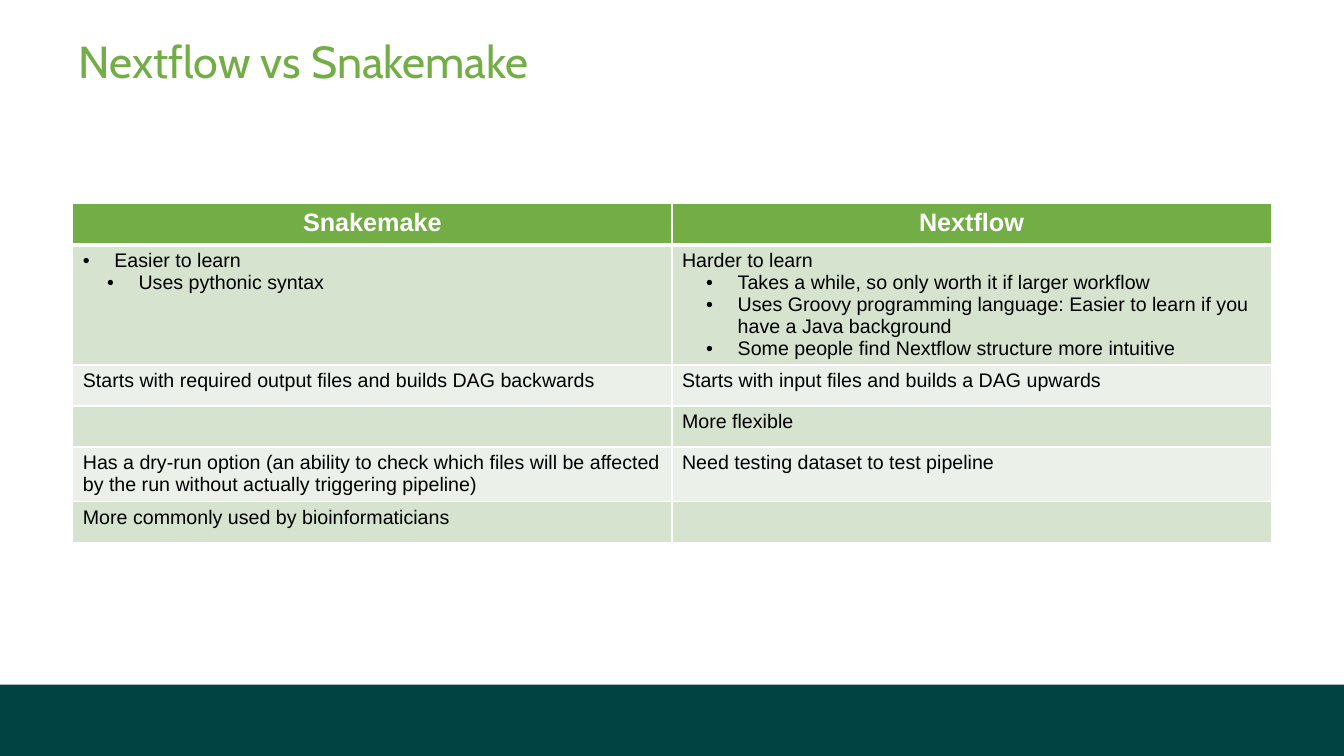
from pptx import Presentation
from pptx.dml.color import RGBColor
from pptx.enum.shapes import MSO_SHAPE
from pptx.enum.text import MSO_ANCHOR, PP_ALIGN
from pptx.util import Pt
from lxml.etree import SubElement
from pptx.oxml.ns import qn

TITLE = "Nextflow vs Snakemake"
HEADS = ["Snakemake", "Nextflow"]
ROWS = [
    ([("Easier to learn", 0), ("Uses pythonic syntax", 1)],
     [("Harder to learn", None),
      ("Takes a while, so only worth it if larger workflow", 1),
      ("Uses Groovy programming language: Easier to learn if you have a Java background", 1),
      ("Some people find Nextflow structure more intuitive", 1)]),
    ([("Starts with required output files and builds DAG backwards", None)],
     [("Starts with input files and builds a DAG upwards", None)]),
    ([], [("More flexible", None)]),
    ([("Has a dry-run option (an ability to check which files will be affected "
       "by the run without actually triggering pipeline)", None)],
     [("Need testing dataset to test pipeline", None)]),
    ([("More commonly used by bioinformaticians", None)], []),
]
COLORS = {"green": "72AD46", "teal": "004342", "white": "FFFFFF",
          "black": "000000", "dark": "D5E3CF", "light": "EBF1E9"}
WIDE, HIGH = 960, 540
BAND = 51
LEFT, TOP, SPAN, ROW = 52, 145.6, 856, 29.3
INDENT, STEP = 22.5, 17.3


def rgb(name):
    return RGBColor.from_string(COLORS[name])


def write(para, text, size, color, face="Arial", bold=False):
    run = para.add_run()
    run.text = text
    font = run.font
    font.name, font.size, font.bold = face, Pt(size), bold
    font.color.rgb = rgb(color)


def bullet(para, level):
    para.level = level
    props = para._p.get_or_add_pPr()
    props.set("marL", str(Pt(INDENT + STEP * level)))
    props.set("indent", str(Pt(-INDENT)))
    SubElement(props, qn("a:buFont"), typeface="Arial")
    SubElement(props, qn("a:buChar"), char="•")


def paint(cell, color, base):
    props = cell._tc.get_or_add_tcPr()
    for side, width in (("L", 1), ("R", 1), ("T", 1), ("B", base)):
        line = SubElement(props, qn("a:ln" + side), w=str(Pt(width)))
        fill = SubElement(line, qn("a:solidFill"))
        SubElement(fill, qn("a:srgbClr"), val=COLORS["white"])
    cell.fill.solid()
    cell.fill.fore_color.rgb = rgb(color)


def main():
    deck = Presentation()
    deck.slide_width, deck.slide_height = Pt(WIDE), Pt(HIGH)
    slide = deck.slides.add_slide(deck.slide_layouts[5])

    band = slide.shapes.add_shape(
        MSO_SHAPE.RECTANGLE, 0, Pt(HIGH - BAND), Pt(WIDE), Pt(BAND))
    band.shadow.inherit = False
    band.fill.solid()
    band.fill.fore_color.rgb = rgb("teal")
    band.line.fill.background()

    title = slide.shapes.title
    title.left, title.top, title.width, title.height = Pt(56), Pt(24), Pt(856), Pt(60)
    frame = title.text_frame
    frame.margin_left = frame.margin_right = frame.margin_top = frame.margin_bottom = 0
    frame.vertical_anchor = MSO_ANCHOR.TOP
    head = frame.paragraphs[0]
    head.alignment = PP_ALIGN.LEFT
    write(head, TITLE, 32, "green", "Cabin")

    count = len(ROWS) + 1
    table = slide.shapes.add_table(
        count, len(HEADS), Pt(LEFT), Pt(TOP), Pt(SPAN), Pt(ROW * count)).table
    for col, text in enumerate(HEADS):
        cell = table.cell(0, col)
        paint(cell, "green", 3)
        para = cell.text_frame.paragraphs[0]
        para.alignment = PP_ALIGN.CENTER
        write(para, text, 18, "white", bold=True)

    for row, cells in enumerate(ROWS, 1):
        for col, items in enumerate(cells):
            cell = table.cell(row, col)
            paint(cell, "dark" if row % 2 else "light", 1)
            frame = cell.text_frame
            for spot, (text, level) in enumerate(items):
                para = frame.add_paragraph() if spot else frame.paragraphs[0]
                if level is not None:
                    bullet(para, level)
                write(para, text, 14, "black")

    deck.save("out.pptx")


if __name__ == "__main__":
    main()
